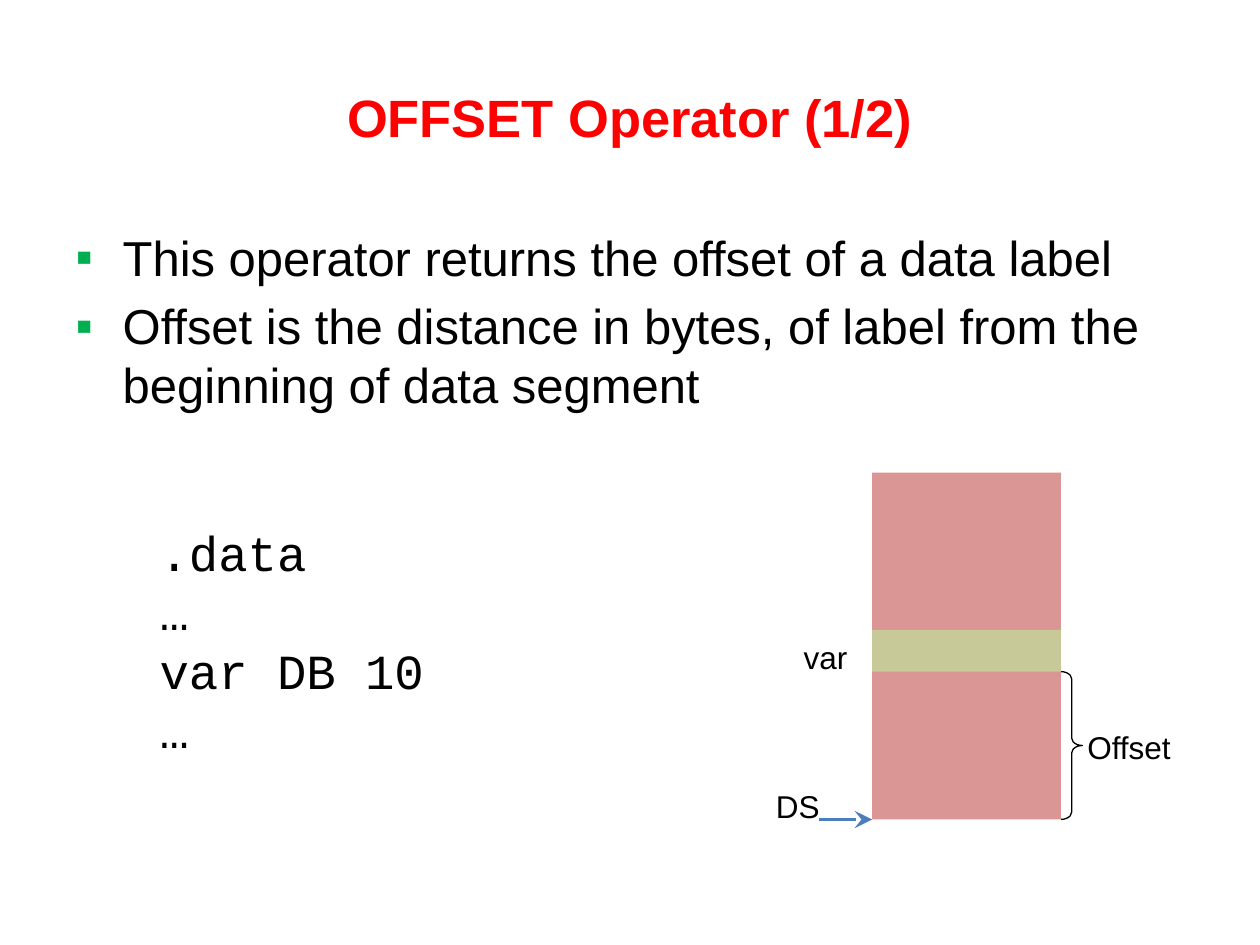
from lxml import etree
from pptx import Presentation
from pptx import util as u
from pptx.dml.color import RGBColor
from pptx.enum import shapes, text
from pptx.oxml import ns

RED = RGBColor(0xFF, 0x00, 0x00)
BLACK = RGBColor(0x00, 0x00, 0x00)
GREEN = RGBColor(0x00, 0xB0, 0x50)
BLUE = RGBColor(0x4B, 0x7E, 0xBC)
PINK = RGBColor(0xD9, 0x96, 0x94)
OLIVE = RGBColor(0xC3, 0xD6, 0x9B)

SEGMENT_LEFT, SEGMENT_TOP = 17.58, 9.53
SEGMENT_WIDTH, SEGMENT_HEIGHT = 3.81, 6.99
SEGMENT_RIGHT = SEGMENT_LEFT + SEGMENT_WIDTH
SEGMENT_BOTTOM = SEGMENT_TOP + SEGMENT_HEIGHT
VAR_TOP, VAR_HEIGHT = 12.7, 0.84
VAR_BOTTOM = VAR_TOP + VAR_HEIGHT


def add_element(parent, tag, **attributes):
    return etree.SubElement(parent, ns.qn(tag), attributes)


def place(shape, left, top, width, height):
    shape.left, shape.top = u.Cm(left), u.Cm(top)
    shape.width, shape.height = u.Cm(width), u.Cm(height)


def write(frame, lines, size, font="Arial", color=BLACK, bold=False):
    frame.text = "\n".join(lines)
    for paragraph in frame.paragraphs:
        for run in paragraph.runs:
            run.font.name = font
            run.font.size = u.Pt(size)
            run.font.color.rgb = color
            run.font.bold = bold


def add_bullet(paragraph):
    properties = paragraph._p.get_or_add_pPr()
    properties.set("marL", str(u.Cm(0.95)))
    properties.set("indent", str(u.Cm(-0.95)))
    color = add_element(properties, "a:buClr")
    add_element(color, "a:srgbClr", val=str(GREEN))
    add_element(properties, "a:buFont", typeface="Arial")
    add_element(properties, "a:buChar", char="▪")


def add_label(slide, lines, left, top, width, height, size=18, font="Arial"):
    box = slide.shapes.add_textbox(u.Cm(left), u.Cm(top), u.Cm(width), u.Cm(height))
    box.text_frame.word_wrap = False
    box.text_frame.auto_size = text.MSO_AUTO_SIZE.SHAPE_TO_FIT_TEXT
    write(box.text_frame, lines, size, font)


def add_block(slide, top, height, color):
    block = slide.shapes.add_shape(
        shapes.MSO_SHAPE.RECTANGLE,
        u.Cm(SEGMENT_LEFT), u.Cm(top), u.Cm(SEGMENT_WIDTH), u.Cm(height))
    block.shadow.inherit = False
    block.fill.solid()
    block.fill.fore_color.rgb = color
    block.line.fill.background()
    return block


def set_opacity(shape, percent):
    color = shape.fill._xPr.find(".//" + ns.qn("a:srgbClr"))
    add_element(color, "a:alpha", val=str(percent * 1000))


def add_arrow(slide, start, end, y):
    arrow = slide.shapes.add_connector(
        shapes.MSO_CONNECTOR.STRAIGHT, u.Cm(start), u.Cm(y), u.Cm(end), u.Cm(y))
    arrow.line.color.rgb = BLUE
    arrow.line.width = u.Pt(2)
    add_element(arrow.line._get_or_add_ln(), "a:tailEnd", type="stealth", w="lg", len="lg")
    add_element(arrow._element.spPr, "a:effectLst")


def add_brace(slide, left, top, width, height):
    brace = slide.shapes.add_shape(
        shapes.MSO_SHAPE.RIGHT_BRACE, u.Cm(left), u.Cm(top), u.Cm(width), u.Cm(height))
    brace.adjustments[0] = 0.345
    brace.shadow.inherit = False
    brace.fill.background()
    brace.line.color.rgb = BLACK
    brace.line.width = u.Pt(0.75)


def main():
    presentation = Presentation()
    presentation.slide_width, presentation.slide_height = u.Cm(25.4), u.Cm(19.05)
    slide = presentation.slides.add_slide(presentation.slide_layouts[1])

    title, body = slide.placeholders
    place(title, 1.27, 0.76, 22.86, 3.18)
    write(title.text_frame, ["OFFSET Operator (1/2)"], 30, color=RED, bold=True)
    place(body, 1.27, 4.45, 22.86, 12.57)
    write(body.text_frame, [
        "This operator returns the offset of a data label",
        "Offset is the distance in bytes, of label from the beginning of data segment",
    ], 28)
    for paragraph in body.text_frame.paragraphs:
        add_bullet(paragraph)

    add_block(slide, SEGMENT_TOP, SEGMENT_HEIGHT, PINK)
    add_label(slide, ["DS"], 15.39, 15.75, 1.4, 1.02)
    add_arrow(slide, 16.51, SEGMENT_LEFT, SEGMENT_BOTTOM)
    variable = add_block(slide, VAR_TOP, VAR_HEIGHT, OLIVE)
    set_opacity(variable, 81)
    add_label(slide, ["var"], 15.95, 12.73, 1.4, 1.02)
    add_brace(slide, SEGMENT_RIGHT, VAR_BOTTOM, 0.43, SEGMENT_BOTTOM - VAR_BOTTOM)
    add_label(slide, ["Offset"], 21.67, 14.55, 2.21, 1.02)
    add_label(slide, [".data", "…", "var DB 10", "…"],
              2.97, 10.41, 5.89, 5.05, 28, "Courier New")

    presentation.save("out.pptx")


main()
